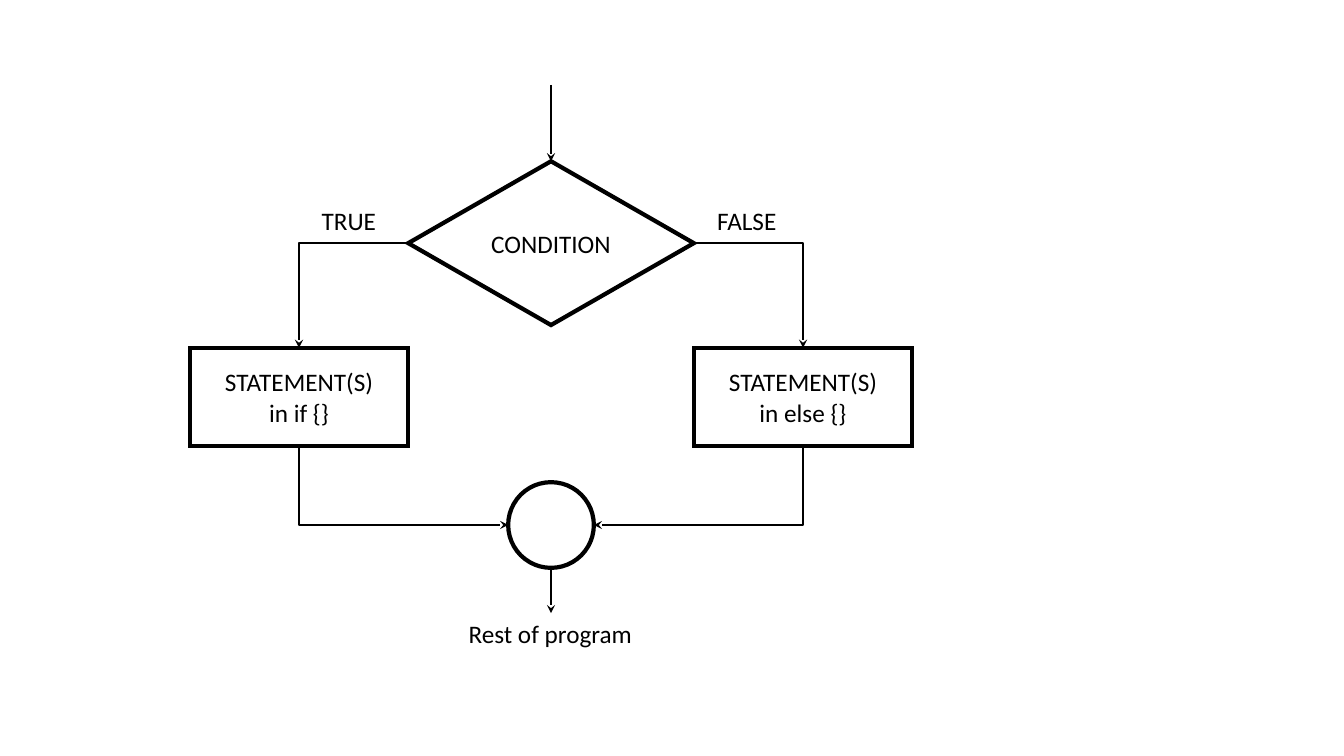
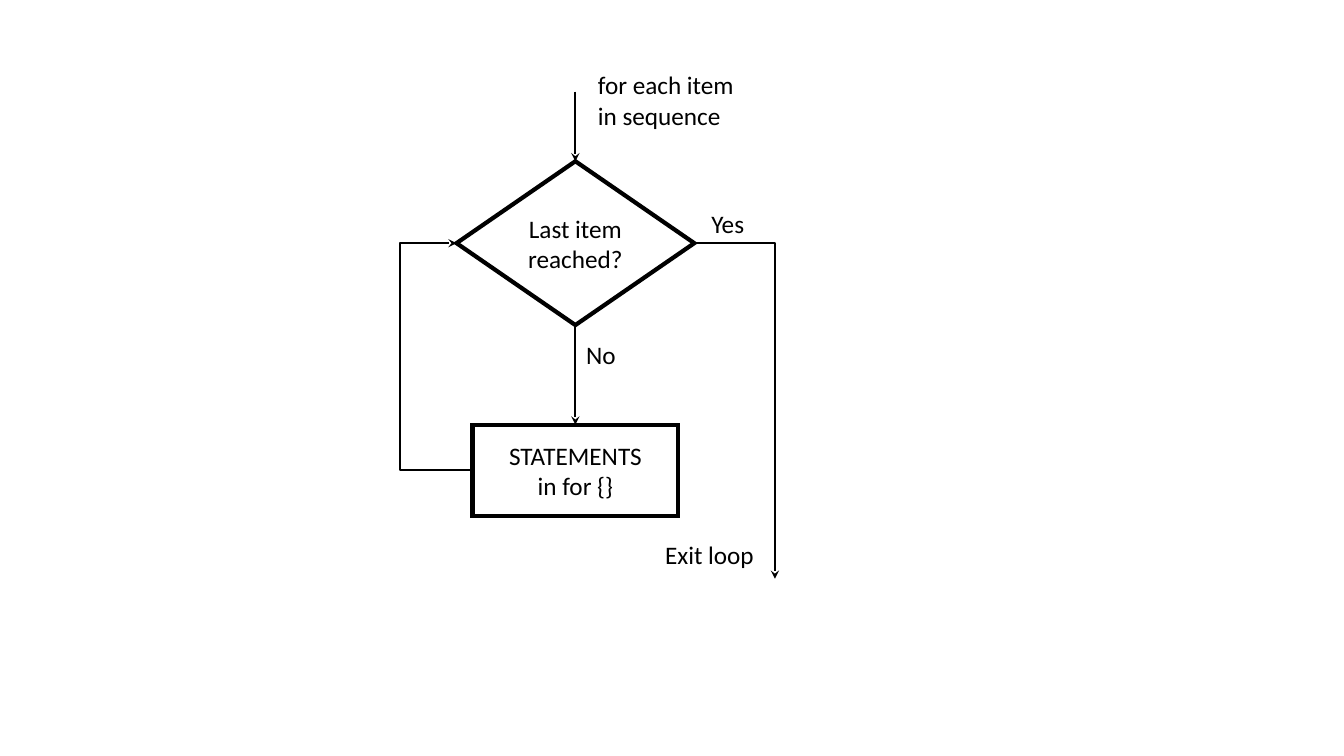
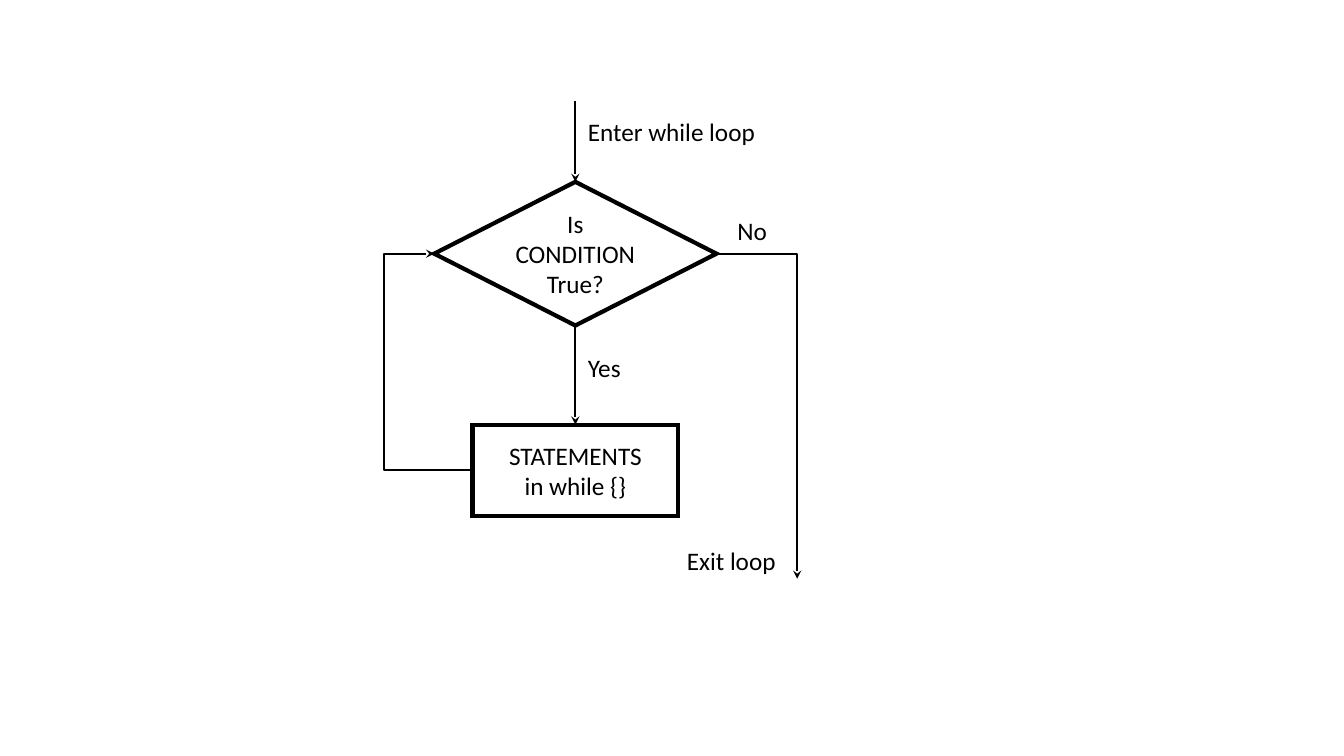
import dataclasses

import pptx
import pptx.dml.color
import pptx.enum.shapes
import pptx.enum.text
import pptx.oxml.ns
import pptx.util
from lxml import etree

SHAPE = pptx.enum.shapes.MSO_SHAPE
CONNECTOR = pptx.enum.shapes.MSO_CONNECTOR
ALIGN = pptx.enum.text.PP_ALIGN
ANCHOR = pptx.enum.text.MSO_ANCHOR
AUTO_SIZE = pptx.enum.text.MSO_AUTO_SIZE
qn = pptx.oxml.ns.qn

COLUMNS, ROWS = 160, 90
SLIDE_WIDTH, SLIDE_HEIGHT = pptx.util.Inches(13.33), pptx.util.Inches(7.5)
LABEL_ROWS = 4.8

# Rotation in degrees and mirroring that give each one-bend route.
TURNS = {
    "right-down": (0, None),
    "down-left": (90, None),
    "left-down": (180, "flipV"),
    "down-right": (270, "flipH"),
}


@dataclasses.dataclass(frozen=True)
class Theme:
    ink: pptx.dml.color.RGBColor = pptx.dml.color.RGBColor(0, 0, 0)
    font: str = "Calibri"
    text_size: float = 18
    outline: float = 3
    arrow: float = 1.5


THEME = Theme()


@dataclasses.dataclass(frozen=True)
class Node:
    """A place on the grid, given by its centre and size in cells."""
    x: float
    y: float
    width: float
    height: float

    @property
    def left(self):
        return self.x - self.width / 2, self.y

    @property
    def right(self):
        return self.x + self.width / 2, self.y

    @property
    def top(self):
        return self.x, self.y - self.height / 2

    @property
    def bottom(self):
        return self.x, self.y + self.height / 2


def across(columns):
    return round(SLIDE_WIDTH * columns / COLUMNS)


def down(rows):
    return round(SLIDE_HEIGHT * rows / ROWS)


def style_line(line, width):
    line.color.rgb = THEME.ink
    line.width = pptx.util.Pt(width)


def write(frame, text, align):
    frame.text = text
    for para in frame.paragraphs:
        para.alignment = align
        para.font.name = THEME.font
        para.font.size = pptx.util.Pt(THEME.text_size)
        para.font.color.rgb = THEME.ink


def add_node(page, kind, node, text=""):
    box = page.shapes.add_shape(kind, across(node.left[0]), down(node.top[1]),
                                across(node.width), down(node.height))
    box.shadow.inherit = False
    box.fill.background()
    style_line(box.line, THEME.outline)
    outline = box.line._get_or_add_ln()
    etree.SubElement(outline, qn("a:miter"), lim="800000")
    if text:
        box.text_frame.word_wrap = True
        box.text_frame.vertical_anchor = ANCHOR.MIDDLE
        write(box.text_frame, text, ALIGN.CENTER)


def add_label(page, text, left, top, width, height=LABEL_ROWS, wrap=False):
    box = page.shapes.add_textbox(across(left), down(top), across(width), down(height))
    box.text_frame.word_wrap = wrap
    box.text_frame.auto_size = AUTO_SIZE.SHAPE_TO_FIT_TEXT
    write(box.text_frame, text, ALIGN.LEFT)


def add_arrow(page, start, end, kind=CONNECTOR.STRAIGHT):
    arrow = page.shapes.add_connector(kind, across(start[0]), down(start[1]),
                                      across(end[0]), down(end[1]))
    style_line(arrow.line, THEME.arrow)
    etree.SubElement(arrow.line._get_or_add_ln(), qn("a:tailEnd"), type="stealth")
    etree.SubElement(arrow._element.spPr, qn("a:effectLst"))
    return arrow


def add_bent_arrow(page, start, end, preset, degrees, flip=None, bend=None):
    """Elbow arrow; its frame is stored before rotation about its centre."""
    x, y = (start[0] + end[0]) / 2, (start[1] + end[1]) / 2
    width, height = abs(end[0] - start[0]), abs(end[1] - start[1])
    if degrees % 180:
        width, height = height, width
    arrow = add_arrow(page, (x - width / 2, y - height / 2),
                      (x + width / 2, y + height / 2), CONNECTOR.ELBOW)
    properties = arrow._element.spPr
    frame = properties.find(qn("a:xfrm"))
    if degrees:
        frame.set("rot", str(degrees * 60000))
    if flip:
        frame.set(flip, "1")
    geometry = properties.find(qn("a:prstGeom"))
    geometry.set("prst", preset)
    if bend is not None:
        guides = geometry.find(qn("a:avLst"))
        etree.SubElement(guides, qn("a:gd"), name="adj1",
                         fmla=f"val {round(bend * 100000)}")


def add_turn(page, start, end, turn):
    add_bent_arrow(page, start, end, "bentConnector2", *TURNS[turn])


def add_return(page, start, end, lane):
    """Arrow back up to end by way of the column called lane."""
    bend = (start[0] - lane) / (start[0] - end[0])
    add_bent_arrow(page, start, end, "bentConnector3", 180, bend=bend)


def add_page(deck):
    return deck.slides.add_slide(deck.slide_layouts[6])


def add_branch_page(deck):
    page = add_page(deck)
    middle, spread, statement_row = 65.6, 30, 47.25
    condition = Node(middle, 28.95, 34, 19.5)
    merge = Node(middle, 62.5, 10.2, 10.2)
    if_block = Node(middle - spread, statement_row, 26, 11.7)
    else_block = Node(middle + spread, statement_row, 26, 11.7)

    add_node(page, SHAPE.DIAMOND, condition, "CONDITION")
    add_node(page, SHAPE.RECTANGLE, if_block, "STATEMENT(S)\nin if {}")
    add_node(page, SHAPE.RECTANGLE, else_block, "STATEMENT(S)\nin else {}")
    add_node(page, SHAPE.OVAL, merge)

    add_arrow(page, (middle, 10.1), condition.top)
    add_turn(page, condition.left, if_block.top, "left-down")
    add_turn(page, condition.right, else_block.top, "right-down")
    add_turn(page, if_block.bottom, merge.left, "down-right")
    add_turn(page, else_block.bottom, merge.right, "down-left")
    add_arrow(page, merge.bottom, (middle, 73))

    add_label(page, "TRUE", 37.1, 23.9, 9)
    add_label(page, "FALSE", 84.2, 23.9, 9.5)
    add_label(page, "Rest of program", 54.6, 73, 22.1)


def add_loop_page(deck, test, question, statements, entry_row, return_lane):
    page = add_page(deck)
    body = Node(test.x, 56, 24.5, 10.9)
    add_node(page, SHAPE.DIAMOND, test, question)
    add_node(page, SHAPE.RECTANGLE, body, statements)

    add_arrow(page, (test.x, entry_row), test.top)
    add_arrow(page, test.bottom, body.top)
    add_return(page, body.left, test.left, return_lane)
    add_turn(page, test.right, (test.right[0] + 9.6, 68.9), "right-down")
    return page


def add_for_page(deck):
    page = add_loop_page(deck, Node(68.5, 28.95, 28.3, 19.5), "Last item reached?",
                         "STATEMENTS\nin for {}", entry_row=10.9, return_lane=47.6)
    add_label(page, "for each item in sequence", 70, 7.7, 21.1, 8.5, wrap=True)
    add_label(page, "Yes", 83.5, 24.2, 6.4)
    add_label(page, "No", 68.6, 39.8, 6)
    add_label(page, "Exit loop", 78, 63.6, 13.1)


def add_while_page(deck):
    page = add_loop_page(deck, Node(68.5, 30.2, 33.6, 17.1), "Is CONDITION\nTrue?",
                         "STATEMENTS\nin while {}", entry_row=12, return_lane=45.7)
    add_label(page, "Enter while loop", 68.8, 13.2, 23.9, wrap=True)
    add_label(page, "No", 86.6, 25, 6)
    add_label(page, "Yes", 68.8, 41.3, 6.4)
    add_label(page, "Exit loop", 80.6, 64.3, 13.1)


def main():
    deck = pptx.Presentation()
    deck.slide_width, deck.slide_height = SLIDE_WIDTH, SLIDE_HEIGHT
    add_branch_page(deck)
    add_for_page(deck)
    add_while_page(deck)
    deck.save("out.pptx")


if __name__ == "__main__":
    main()
